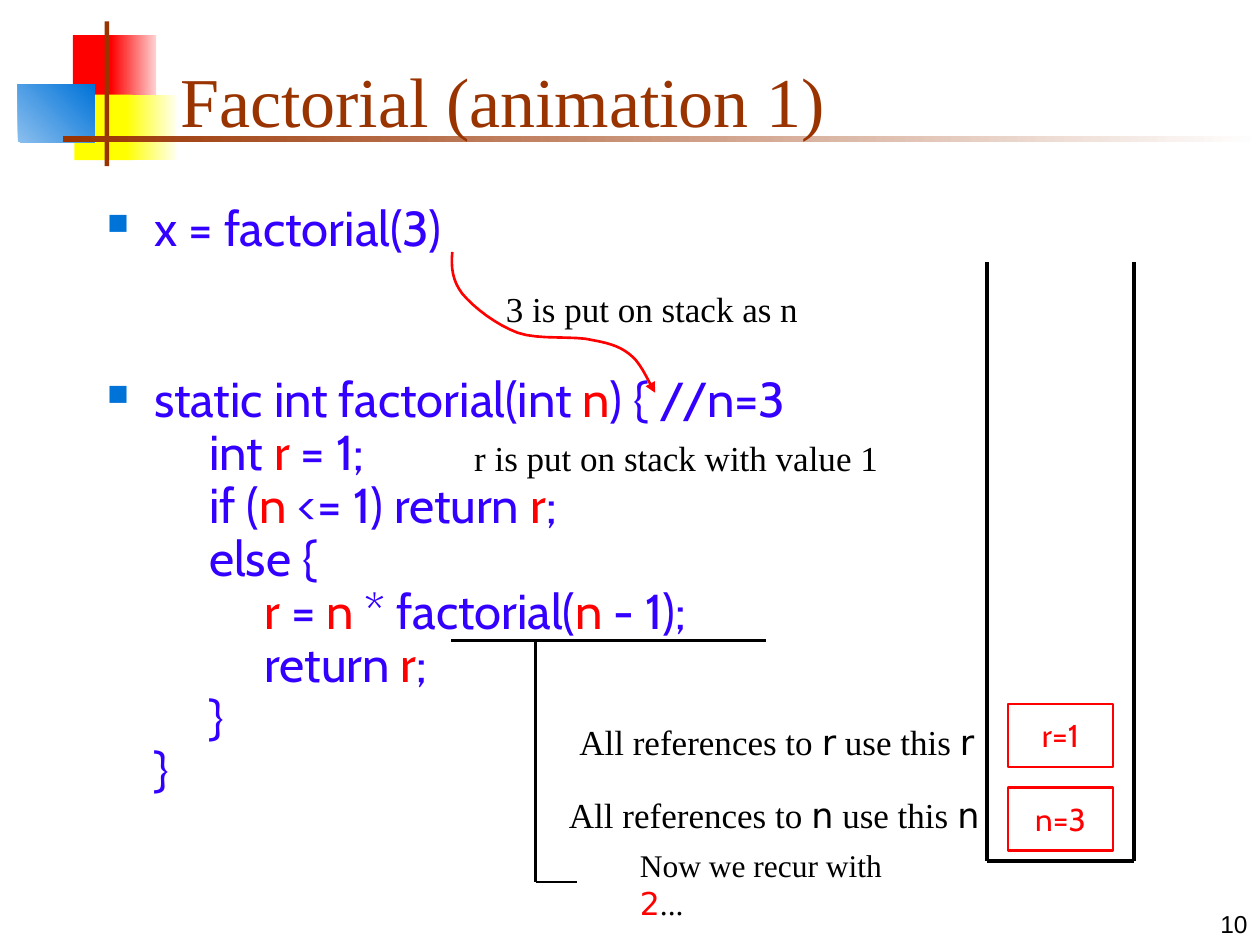
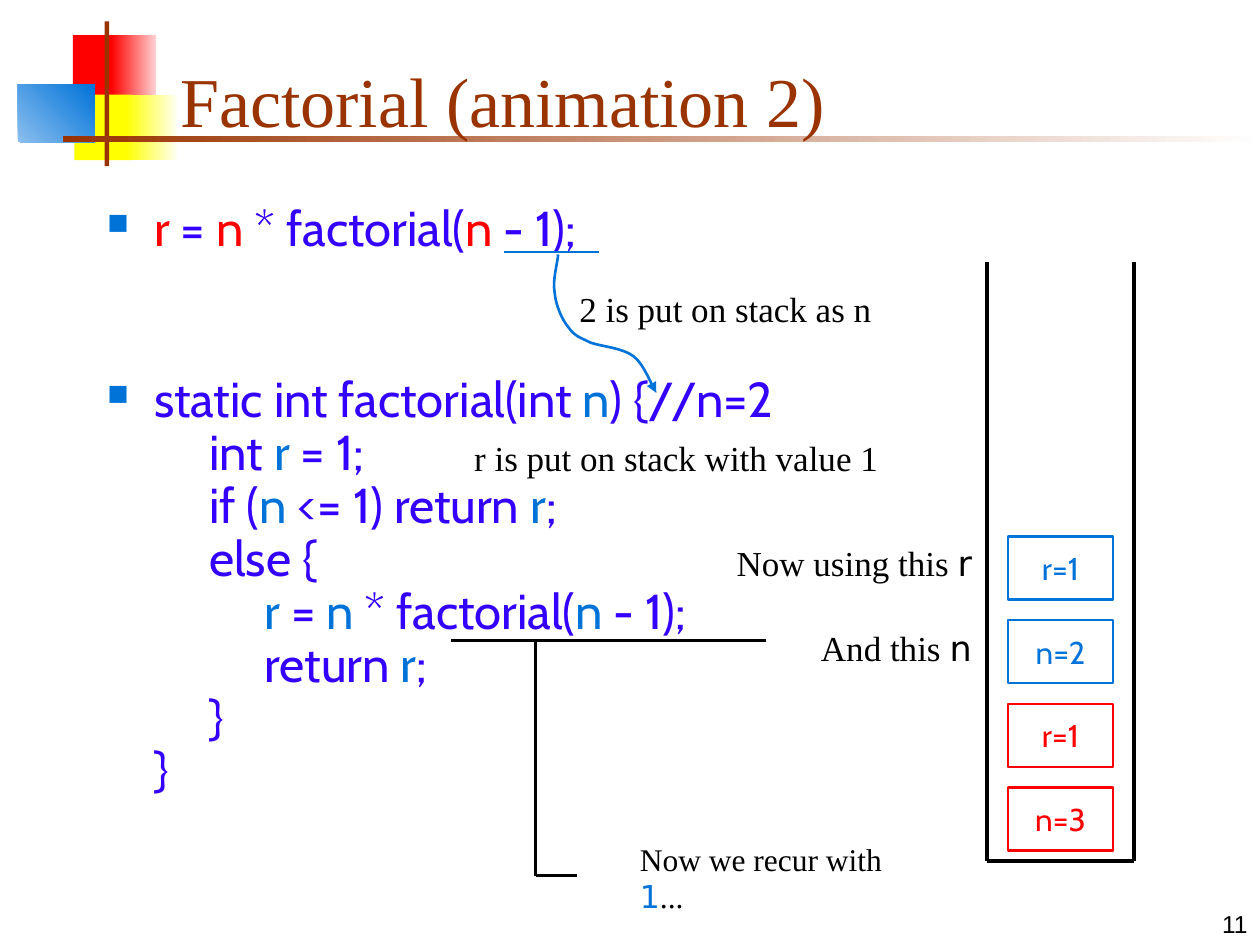
from lxml import etree
from pptx import Presentation
from pptx.dml.color import RGBColor
from pptx.enum.shapes import MSO_CONNECTOR, MSO_SHAPE
from pptx.enum.text import MSO_ANCHOR, MSO_AUTO_SIZE, PP_ALIGN
from pptx.oxml.ns import qn
from pptx.util import Cm, Pt

RECTANGLE, PROCESS = MSO_SHAPE.RECTANGLE, MSO_SHAPE.FLOWCHART_PROCESS
STRAIGHT = MSO_CONNECTOR.STRAIGHT
TOP, MIDDLE, BOTTOM = MSO_ANCHOR.TOP, MSO_ANCHOR.MIDDLE, MSO_ANCHOR.BOTTOM
LEFT, CENTER, RIGHT = PP_ALIGN.LEFT, PP_ALIGN.CENTER, PP_ALIGN.RIGHT
NO_AUTOFIT = MSO_AUTO_SIZE.NONE

BLACK, RED, BLUE, CODE_BLUE, BROWN = "000000", "FF0000", "0073D9", "3300FF", "993300"
SERIF, SANS, CODE_FONT, NUMBER_FONT = "Times New Roman", "DejaVu Sans", "Cabin", "Arial"

# Left, top, width, height in cm; start colour, end colour (None is solid), angle
DECORATIONS = [
    (1.47, 0.71, 0.89, 1.32, RED, None, 0),
    (2.24, 0.71, 0.91, 1.32, RED, "FFD1D1", 0),
    (1.5, 1.91, 1.17, 1.32, "FFFF00", None, 0),
    (2.54, 1.91, 1.02, 1.32, "FFFF00", "FFFFF0", 0),
    (0.36, 1.7, 1.55, 1.17, "8BBFEE", BLUE, 45),
    (2.11, 0.43, 0.09, 2.92, BROWN, None, 0),
    (1.27, 2.74, 24.13, 0.13, BROWN, "FFFFFF", 0),
]

# Text between tildes is emphasised
FUNCTION_CODE = """static int factorial(int ~n~) {COMMENT
     int ~r~ = 1;
     if (~n~ <= 1) return ~r~;
     else {
          ~r~ = ~n~ * factorial(~n~ - 1);
          return ~r~;
     }
}"""

STACK_NOTE = ("r is put on stack with value 1", 9.31, 8.68, 8.68)

# Notes: text, left, top, width. Curves: start, then control, control, end.
STEPS = [
    {
        "number": "10",
        "title": "Factorial (animation 1)",
        "call": "x = factorial(3)",
        "comment": " //n=3",
        "accent": RED,
        "frames": [("n=3", RED), ("r=1", RED)],
        "notes": [
            STACK_NOTE,
            ("All references to ~r~ use this ~r~", 11.43, 14.39, 8.6),
            ("All references to ~n~ use this ~n~", 11.22, 15.88, 9.09),
            ("3 is put on stack as n", 9.95, 5.67, 6.78),
        ],
        "recur": "Now we recur with ~2~...",
        "recur_top": 16.93,
        "curve": [
            (9.12, 5.08),
            (9.09, 5.38), (9.12, 5.66), (9.32, 5.92),
            (9.55, 6.2), (10.01, 6.55), (10.44, 6.71),
            (10.87, 6.86), (11.58, 6.76), (11.96, 6.86),
            (12.34, 6.93), (12.55, 7.01), (12.75, 7.19),
            (12.95, 7.37), (13.11, 7.77), (13.21, 7.92),
        ],
        "underline": None,
    },
    {
        "number": "11",
        "title": "Factorial (animation 2)",
        "call": "~r~ = ~n~ * factorial(~n~ - 1);",
        "comment": "//n=2",
        "accent": BLUE,
        "frames": [("n=3", RED), ("r=1", RED), ("n=2", BLUE), ("r=1", BLUE)],
        "notes": [
            STACK_NOTE,
            ("Now using this ~r~", 14.6, 10.8, 8.47),
            ("And this ~n~", 16.3, 12.5, 3.81),
            ("2 is put on stack as n", 11.43, 5.67, 6.78),
        ],
        "recur": "Now we recur with ~1~...",
        "recur_top": 16.8,
        "curve": [
            (11.25, 5.13),
            (11.25, 5.26), (11.13, 5.66), (11.18, 5.89),
            (11.2, 6.15), (11.33, 6.45), (11.46, 6.6),
            (11.58, 6.78), (11.71, 6.81), (11.91, 6.91),
            (12.14, 6.99), (12.55, 7.01), (12.78, 7.19),
            (13, 7.37), (13.13, 7.77), (13.23, 7.92),
        ],
        "underline": [(10.16, 5.08), (12.07, 5.08)],
    },
]

STACK_OUTLINE = [(19.9, 5.29), (19.9, 17.36), (22.86, 17.36), (22.86, 5.29)]
FRAME_LEFT, FRAME_WIDTH, FRAME_HEIGHT = 20.32, 2.12, 1.27
FRAME_BOTTOM_TOP, FRAME_PITCH = 15.88, 1.69
CURVE_STEPS = 8


def rgb(color):
    return RGBColor.from_string(color)


def set_font(font, name, size, color):
    font.name, font.size = name, Pt(size)
    font.color.rgb = rgb(color)


def place(shape, left, top, width, height):
    shape.left, shape.top = Cm(left), Cm(top)
    shape.width, shape.height = Cm(width), Cm(height)


def add_marked_text(paragraph, text, color=None, font_name=None):
    """Write text with line breaks; parts between tildes get the colour and font."""
    for line_index, line in enumerate(text.split("\n")):
        if line_index:
            paragraph.add_line_break()
        for part_index, part in enumerate(line.split("~")):
            if not part:
                continue
            run = paragraph.add_run()
            run.text = part
            if part_index % 2:
                if color:
                    run.font.color.rgb = rgb(color)
                if font_name:
                    run.font.name = font_name


def add_text_box(slide, left, top, width, height, anchor=TOP):
    box = slide.shapes.add_textbox(Cm(left), Cm(top), Cm(width), Cm(height))
    box.text_frame.word_wrap = True
    box.text_frame.vertical_anchor = anchor
    return box.text_frame


def add_note(slide, text, left, top, width, size=20, accent=None):
    paragraph = add_text_box(slide, left, top, width, 1.12).paragraphs[0]
    set_font(paragraph.font, SERIF, size, BLACK)
    add_marked_text(paragraph, text, accent, SANS)


def add_lines(slide, points, color, width):
    """Join successive points with straight connectors."""
    for start, end in zip(points, points[1:]):
        line = slide.shapes.add_connector(STRAIGHT, *map(Cm, start + end))
        line.line.color.rgb = rgb(color)
        line.line.width = Pt(width)
        etree.SubElement(line.element.spPr, qn("a:effectLst"))


def add_decorations(slide):
    for left, top, width, height, color, end_color, angle in DECORATIONS:
        shape = slide.shapes.add_shape(
            RECTANGLE, Cm(left), Cm(top), Cm(width), Cm(height))
        shape.shadow.inherit = False
        shape.line.fill.background()
        if end_color is None:
            shape.fill.solid()
            shape.fill.fore_color.rgb = rgb(color)
            continue
        shape.fill.gradient()
        shape.fill.gradient_angle = angle
        for stop, stop_color in zip(shape.fill.gradient_stops, (color, end_color)):
            stop.color.rgb = rgb(stop_color)


def add_title(slide, text):
    title = slide.shapes.title
    title.element.getparent().append(title.element)  # in front of the decorations
    place(title, 3.38, 0.64, 21.64, 2.34)
    frame = title.text_frame
    frame.text = text
    frame.auto_size = NO_AUTOFIT
    frame.vertical_anchor = BOTTOM
    frame.paragraphs[0].alignment = LEFT
    set_font(frame.paragraphs[0].font, SERIF, 40, BROWN)


def add_slide_number(slide, number):
    paragraph = add_text_box(slide, 20.12, 17.78, 5.28, 1.27, BOTTOM).paragraphs[0]
    paragraph.text = number
    paragraph.alignment = RIGHT
    set_font(paragraph.font, NUMBER_FONT, 14, BLACK)


def add_square_bullet(paragraph):
    properties = paragraph._p.get_or_add_pPr()
    properties.set("marL", str(Cm(0.95)))
    properties.set("indent", str(-Cm(0.95)))
    bullet_color = etree.SubElement(properties, qn("a:buClr"))
    etree.SubElement(bullet_color, qn("a:srgbClr"), val=BLUE)
    etree.SubElement(properties, qn("a:buSzPct"), val="60000")
    etree.SubElement(properties, qn("a:buChar"), char="■")


def add_code(slide, step):
    frame = add_text_box(slide, 1.91, 3.99, 16.71, 12.47)
    function = FUNCTION_CODE.replace("COMMENT", step["comment"])
    call_paragraph, function_paragraph = frame.paragraphs[0], frame.add_paragraph()
    for paragraph, text, accent in (
        (call_paragraph, step["call"], RED),
        (function_paragraph, function, step["accent"]),
    ):
        add_square_bullet(paragraph)
        paragraph.line_spacing = 0.9
        set_font(paragraph.font, CODE_FONT, 28, CODE_BLUE)
        add_marked_text(paragraph, text, accent)
    function_paragraph.space_before = Pt(67.5)


def add_stack(slide, frames):
    """Draw the open stack and its frames, the first at the bottom."""
    add_lines(slide, STACK_OUTLINE, BLACK, 2.25)
    for level, (text, color) in enumerate(frames):
        top = FRAME_BOTTOM_TOP - level * FRAME_PITCH
        shape = slide.shapes.add_shape(
            PROCESS, Cm(FRAME_LEFT), Cm(top), Cm(FRAME_WIDTH), Cm(FRAME_HEIGHT))
        shape.shadow.inherit = False
        shape.fill.background()
        shape.line.color.rgb = rgb(color)
        shape.line.width = Pt(1.5)
        shape.text_frame.word_wrap = False
        shape.text_frame.vertical_anchor = MIDDLE
        paragraph = shape.text_frame.paragraphs[0]
        paragraph.text = text
        paragraph.alignment = CENTER
        set_font(paragraph.font, CODE_FONT, 18, color)


def curve_points(controls):
    """Sample the chained cubic Bézier segments, without their start point."""
    for index in range(0, len(controls) - 1, 3):
        segment = controls[index:index + 4]
        for step in range(1, CURVE_STEPS + 1):
            t = step / CURVE_STEPS
            weights = ((1 - t) ** 3, 3 * t * (1 - t) ** 2, 3 * t * t * (1 - t), t ** 3)
            yield tuple(
                Cm(sum(weight * point[axis] for weight, point in zip(weights, segment)))
                for axis in (0, 1))


def add_curved_arrow(slide, controls, color):
    builder = slide.shapes.build_freeform(*map(Cm, controls[0]))
    builder.add_line_segments(list(curve_points(controls)), close=False)
    arrow = builder.convert_to_shape()
    arrow.shadow.inherit = False
    arrow.fill.background()
    arrow.line.color.rgb = rgb(color)
    arrow.line.width = Pt(1.5)
    outline = arrow.element.spPr.find(qn("a:ln"))
    etree.SubElement(outline, qn("a:tailEnd"), type="triangle")


def add_recursion(slide, text, top, accent):
    """Underline the recursive call and lead from it to the remark."""
    foot = top + 0.85
    add_lines(slide, [(9.1, 12.91), (15.45, 12.91)], BLACK, 1.5)
    add_lines(slide, [(10.8, 12.91), (10.8, foot), (11.64, foot)], BLACK, 1.5)
    add_note(slide, text, 12.65, top, 5.9, 18, accent)


def main():
    presentation = Presentation()
    presentation.slide_width, presentation.slide_height = Cm(25.4), Cm(19.05)
    title_only = presentation.slide_layouts[5]
    for step in STEPS:
        slide = presentation.slides.add_slide(title_only)
        add_decorations(slide)
        add_slide_number(slide, step["number"])
        add_title(slide, step["title"])
        add_code(slide, step)
        add_stack(slide, step["frames"])
        for note in step["notes"]:
            add_note(slide, *note)
        add_recursion(slide, step["recur"], step["recur_top"], step["accent"])
        add_curved_arrow(slide, step["curve"], step["accent"])
        if step["underline"]:
            add_lines(slide, step["underline"], step["accent"], 0.75)
    presentation.save("out.pptx")


if __name__ == "__main__":
    main()
